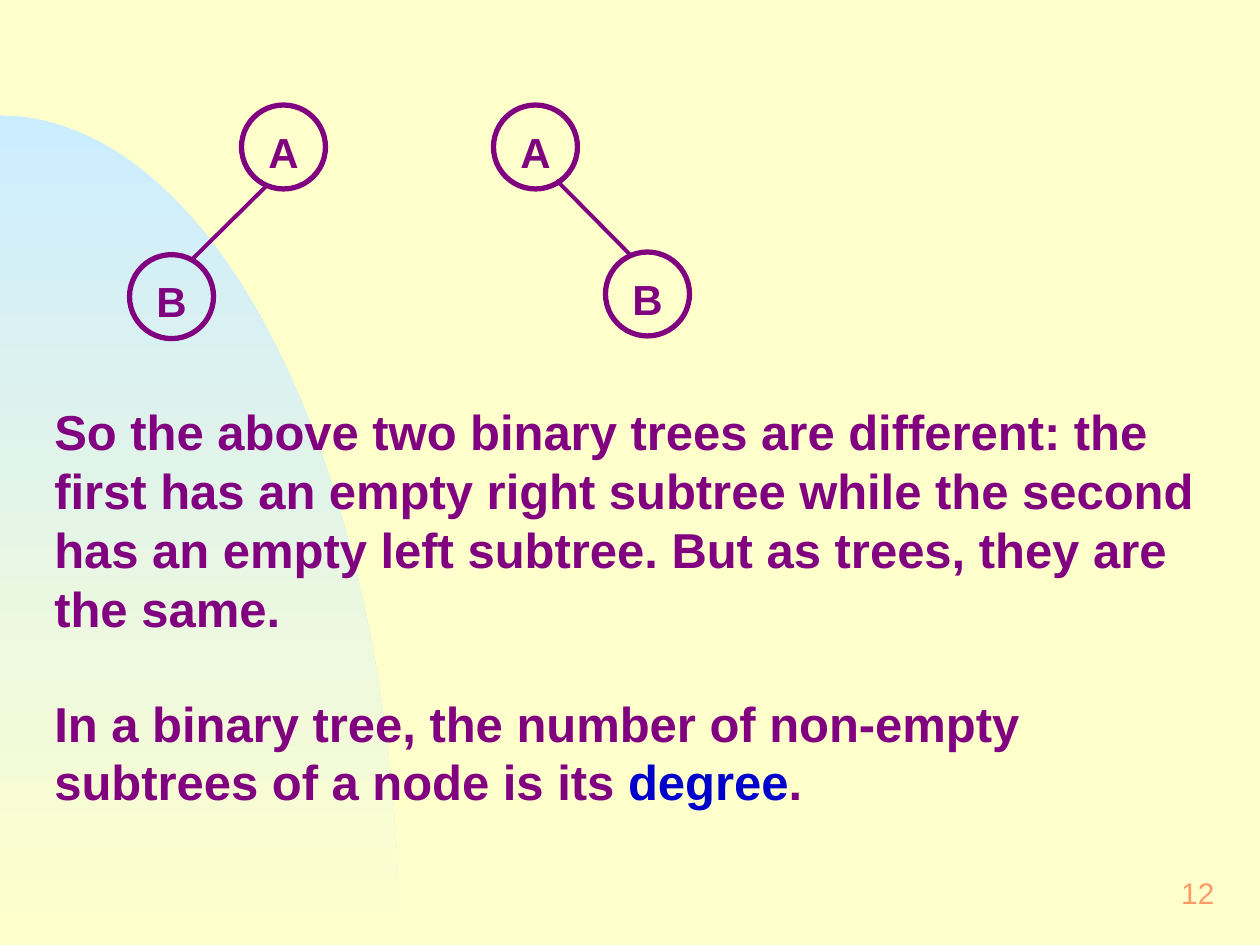
import math

import pptx
import pptx.dml.color
import pptx.enum.shapes
import pptx.enum.text
import pptx.oxml.ns
import pptx.util
from lxml import etree

Pt = pptx.util.Pt
RGBColor = pptx.dml.color.RGBColor
ALIGN = pptx.enum.text.PP_ALIGN
ANCHOR = pptx.enum.text.MSO_ANCHOR

CREAM = RGBColor(0xFF, 0xFF, 0xCC)
SKY = RGBColor(0xCC, 0xEC, 0xFF)
PURPLE = RGBColor(0x80, 0x00, 0x80)
BLUE = RGBColor(0x00, 0x00, 0xCC)
ORANGE = RGBColor(0xFF, 0x99, 0x66)

TREES = [
    {"A": (138, 60), "B": (74, 145.5), "edge": (152, 106.5, 110, 148)},
    {"A": (282, 60), "B": (346, 144), "edge": (318, 103, 360, 145.5)},
]
STATEMENTS = [
    [("So the above two binary trees are different: the first has an empty right "
      "subtree while the second has an empty left subtree. But as trees, they are "
      "the same.", PURPLE)],
    [("In a binary tree, the number of non-empty subtrees of a node is its ", PURPLE),
     ("degree", BLUE), (".", PURPLE)],
]


class TreeSlide:
    """Holds the style and the current page, and draws each kind of element."""

    font = "Arial"
    node_size = 48

    def __init__(self, page):
        self.page = page
        self.shapes = page.shapes
        page.background.fill.solid()
        page.background.fill.fore_color.rgb = CREAM

    def style(self, span, size, color, bold=True):
        span.font.name = self.font
        span.font.size = Pt(size)
        span.font.bold = bold
        span.font.color.rgb = color

    def quarter_ellipse(self, top, width, height, steps=90):
        angles = [math.pi / 2 * step / steps for step in range(1, steps + 1)]
        curve = [(Pt(width * math.sin(angle)), Pt(top + height * (1 - math.cos(angle))))
                 for angle in angles]
        builder = self.shapes.build_freeform(0, Pt(top))
        builder.add_line_segments(curve + [(0, Pt(top + height))], close=True)
        shape = builder.convert_to_shape()
        shape.shadow.inherit = False
        shape.line.fill.background()
        shape.fill.gradient()
        shape.fill.gradient_angle = 270
        for stop, color, position in zip(shape.fill.gradient_stops, (SKY, CREAM), (0, 1)):
            stop.color.rgb = color
            stop.position = position

    def node(self, label, left, top):
        shape = self.shapes.add_shape(
            pptx.enum.shapes.MSO_SHAPE.OVAL,
            Pt(left), Pt(top), Pt(self.node_size), Pt(self.node_size))
        shape.shadow.inherit = False
        shape.fill.background()
        shape.line.color.rgb = PURPLE
        shape.line.width = Pt(3)
        frame = shape.text_frame
        frame.margin_left = frame.margin_right = frame.margin_bottom = 0
        frame.margin_top = Pt(5)
        frame.vertical_anchor = ANCHOR.MIDDLE
        frame.text = label
        para = frame.paragraphs[0]
        para.alignment = ALIGN.CENTER
        self.style(para.runs[0], 24, PURPLE)

    def edge(self, *ends):
        line = self.shapes.add_connector(
            pptx.enum.shapes.MSO_CONNECTOR.STRAIGHT, *map(Pt, ends))
        line.line.color.rgb = PURPLE
        line.line.width = Pt(2.25)
        etree.SubElement(line._element.spPr, pptx.oxml.ns.qn("a:effectLst"))

    def text(self, paragraphs, left, top, width, height, size, bold=True, gap=0,
             align=ALIGN.LEFT, anchor=ANCHOR.TOP):
        box = self.shapes.add_textbox(Pt(left), Pt(top), Pt(width), Pt(height))
        frame = box.text_frame
        frame.word_wrap = True
        frame.vertical_anchor = anchor
        for index, spans in enumerate(paragraphs):
            para = frame.add_paragraph() if index else frame.paragraphs[0]
            para.alignment = align
            if index:
                para.space_before = Pt(gap)
            for wording, color in spans:
                span = para.add_run()
                span.text = wording
                self.style(span, size, color, bold)


def main():
    deck = pptx.Presentation()
    deck.slide_width, deck.slide_height = Pt(720), Pt(540)
    slide = TreeSlide(deck.slides.add_slide(deck.slide_layouts[6]))

    slide.quarter_ellipse(66, 228, 474)
    slide.text([[("12", ORANGE)]], 553, 492, 148, 36, 17, bold=False,
               align=ALIGN.RIGHT, anchor=ANCHOR.MIDDLE)
    slide.text(STATEMENTS, 24, 226, 678, 231, 28, gap=32)
    for tree in TREES:
        slide.edge(*tree["edge"])
        for label in "AB":
            slide.node(label, *tree[label])

    deck.save("out.pptx")


if __name__ == "__main__":
    main()
